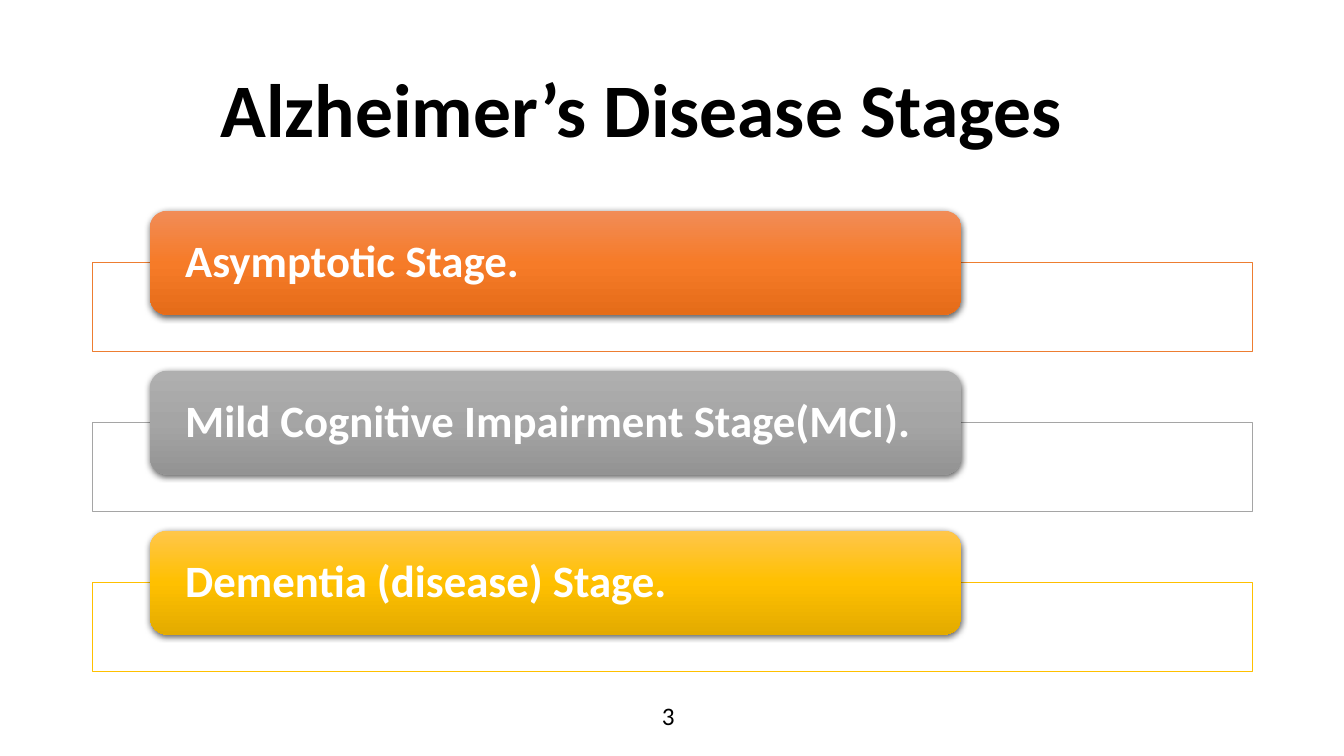
import dataclasses

import pptx
import pptx.dml.color
import pptx.enum.shapes
import pptx.enum.text
import pptx.oxml
import pptx.oxml.ns
import pptx.util

Cm = pptx.util.Cm
Pt = pptx.util.Pt
RGBColor = pptx.dml.color.RGBColor
MSO_SHAPE = pptx.enum.shapes.MSO_SHAPE
PP_ALIGN = pptx.enum.text.PP_ALIGN
MSO_ANCHOR = pptx.enum.text.MSO_ANCHOR

BLACK = RGBColor(0x00, 0x00, 0x00)
WHITE = RGBColor(0xFF, 0xFF, 0xFF)
ORANGE_LIGHT = RGBColor(0xF1, 0x8C, 0x57)
ORANGE = RGBColor(0xF6, 0x7B, 0x28)
ORANGE_DARK = RGBColor(0xE5, 0x6C, 0x19)
ORANGE_LINE = RGBColor(0xED, 0x7D, 0x31)
GREY_LIGHT = RGBColor(0xAF, 0xAF, 0xAF)
GREY = RGBColor(0xA5, 0xA5, 0xA5)
GREY_DARK = RGBColor(0x93, 0x93, 0x93)
GOLD_LIGHT = RGBColor(0xFF, 0xC6, 0x4B)
GOLD = RGBColor(0xFF, 0xC0, 0x00)
GOLD_DARK = RGBColor(0xE3, 0xAB, 0x00)

FONT = "Calibri"
FIRST_BAR_TOP = 5.31
STAGE_PITCH = 4.03
FRAME_DROP = 1.31


@dataclasses.dataclass(frozen=True)
class Stage:
    label: str
    outline: RGBColor
    gradient: tuple[RGBColor, RGBColor, RGBColor]


STAGES = (
    Stage("Asymptotic Stage.", ORANGE_LINE, (ORANGE_LIGHT, ORANGE, ORANGE_DARK)),
    Stage("Mild Cognitive Impairment Stage(MCI).", GREY, (GREY_LIGHT, GREY, GREY_DARK)),
    Stage("Dementia (disease) Stage.", GOLD, (GOLD_LIGHT, GOLD, GOLD_DARK)),
)


def write_text(shape, text: str, *, size: float, color: RGBColor = BLACK,
               bold: bool = False, spacing: float = 1.0, side_inset: float = 0.25,
               top_inset: float = 0.13,
               anchor: MSO_ANCHOR = MSO_ANCHOR.MIDDLE) -> None:
    frame = shape.text_frame
    frame.word_wrap = True
    frame.auto_size = pptx.enum.text.MSO_AUTO_SIZE.NONE
    frame.vertical_anchor = anchor
    frame.margin_left = frame.margin_right = Cm(side_inset)
    frame.margin_top = frame.margin_bottom = Cm(top_inset)
    paragraph = frame.paragraphs[0]
    paragraph.alignment = PP_ALIGN.LEFT
    paragraph.line_spacing = spacing
    run = paragraph.add_run()
    run.text = text
    run.font.name = FONT
    run.font.size = Pt(size)
    run.font.bold = bold
    run.font.color.rgb = color


def fill_downwards(shape, colors: tuple[RGBColor, ...]) -> None:
    """Fill with a top-to-bottom gradient of evenly spaced colours."""
    shape.fill.gradient()
    gradient = shape._element.spPr.find(pptx.oxml.ns.qn("a:gradFill"))
    step = 100000 // (len(colors) - 1)
    stops = "".join(
        f'<a:gs pos="{index * step}"><a:srgbClr val="{color}"/></a:gs>'
        for index, color in enumerate(colors))
    stop_list = pptx.oxml.parse_xml(
        f'<a:gsLst {pptx.oxml.ns.nsdecls("a")}>{stops}</a:gsLst>')
    gradient.replace(gradient.find(pptx.oxml.ns.qn("a:gsLst")), stop_list)
    shape.fill.gradient_angle = 270


def cast_shadow(shape) -> None:
    shape.shadow.inherit = False
    effects = shape._element.spPr.find(pptx.oxml.ns.qn("a:effectLst"))
    effects.append(pptx.oxml.parse_xml(
        f'<a:outerShdw {pptx.oxml.ns.nsdecls("a")} blurRad="{Pt(4.5)}" '
        f'dist="{Pt(1.5)}" dir="5400000" algn="ctr" rotWithShape="0">'
        '<a:srgbClr val="000000"><a:alpha val="63000"/></a:srgbClr>'
        '</a:outerShdw>'))


def draw_stage(slide, stage: Stage, top: float) -> None:
    frame = slide.shapes.add_shape(
        MSO_SHAPE.RECTANGLE, Cm(2.34), Cm(top + FRAME_DROP), Cm(29.21), Cm(2.24))
    frame.shadow.inherit = False
    frame.fill.solid()
    frame.fill.fore_color.rgb = WHITE
    frame.line.color.rgb = stage.outline
    frame.line.width = Pt(0.5)

    bar = slide.shapes.add_shape(
        MSO_SHAPE.ROUNDED_RECTANGLE, Cm(3.78), Cm(top), Cm(20.45), Cm(2.62))
    fill_downwards(bar, stage.gradient)
    bar.line.fill.background()
    cast_shadow(bar)
    write_text(bar, stage.label, size=32, color=WHITE, bold=True,
               spacing=0.9, side_inset=0.76, top_inset=0)


def main() -> None:
    deck = pptx.Presentation()
    deck.slide_width, deck.slide_height = Cm(33.87), Cm(19.05)
    slide = deck.slides.add_slide(deck.slide_layouts[5])

    title = slide.shapes.title
    title.left, title.top, title.width, title.height = (
        Cm(5.31), Cm(1.02), Cm(26.21), Cm(3.68))
    write_text(title, "Alzheimer’s Disease Stages", size=54, bold=True, spacing=0.9)

    for index, stage in enumerate(STAGES):
        draw_stage(slide, stage, FIRST_BAR_TOP + index * STAGE_PITCH)

    page_number = slide.shapes.add_textbox(Cm(16.43), Cm(17.53), Cm(0.99), Cm(1.02))
    write_text(page_number, "3", size=18, anchor=MSO_ANCHOR.TOP)

    deck.save("out.pptx")


if __name__ == "__main__":
    main()
